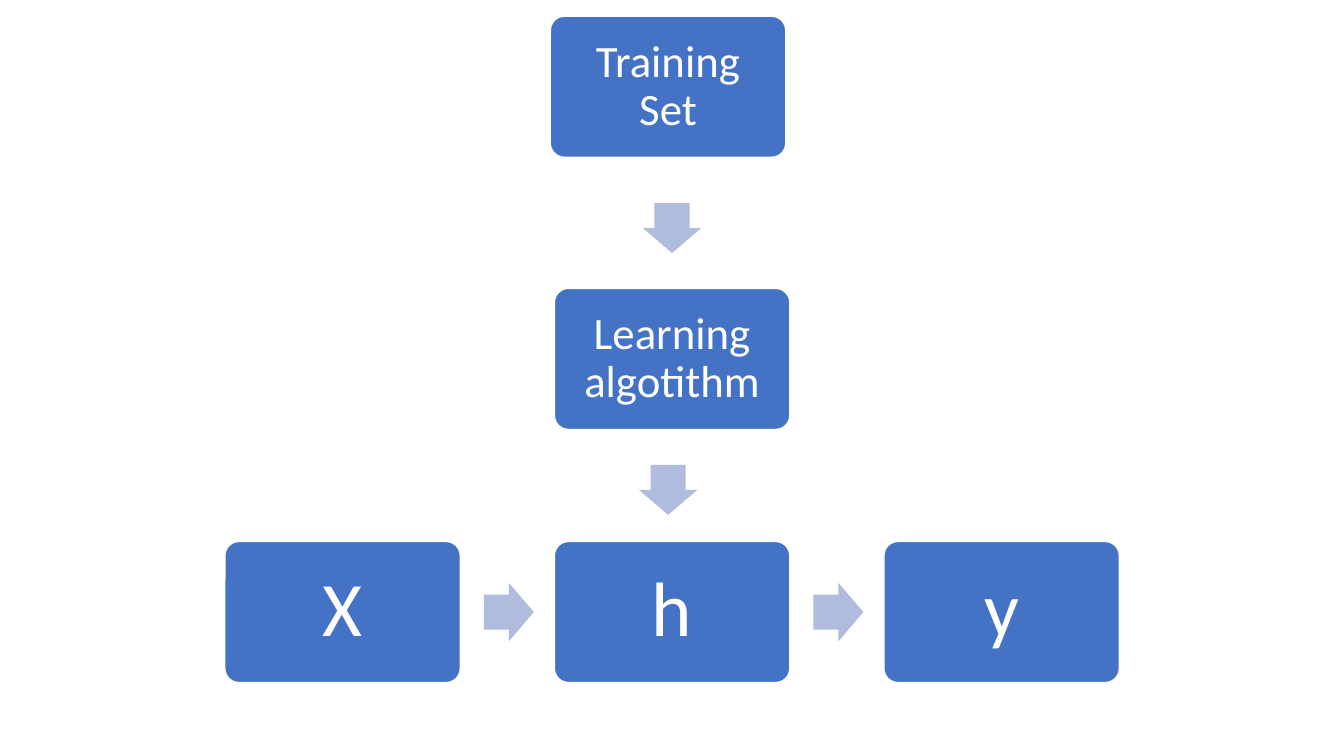
from pptx import Presentation
from pptx.dml.color import RGBColor
from pptx.enum.shapes import MSO_SHAPE as Preset
from pptx.enum.text import MSO_ANCHOR as Anchor, PP_ALIGN as Align
from pptx.util import Pt

BLUE = RGBColor(0x44, 0x72, 0xC4)
PALE_BLUE = RGBColor(0xB0, 0xBC, 0xDE)
WHITE = RGBColor(0xFF, 0xFF, 0xFF)

BOX_WIDTH, BOX_HEIGHT = 168.2, 100.8
ARROW_WIDTH, ARROW_HEIGHT = 35.7, 41.8
BOX_INSET = 16
ROW_LEFT, ROW_TOP, ROW_STEP = 160.6, 386.8, 235.4
ROW_ARROW_OFFSET = 185
ROW_ARROW_TOP = ROW_TOP + (BOX_HEIGHT - ARROW_HEIGHT) / 2


def add_preset(slide, preset, left, top, width, height, color):
    shape = slide.shapes.add_shape(preset, Pt(left), Pt(top), Pt(width), Pt(height))
    shape.shadow.inherit = False
    shape.fill.solid()
    shape.fill.fore_color.rgb = color
    return shape


def add_box(slide, label, left, top, size):
    box = add_preset(slide, Preset.ROUNDED_RECTANGLE, left, top, BOX_WIDTH, BOX_HEIGHT, BLUE)
    box.adjustments[0] = 0.1
    box.line.color.rgb = WHITE
    box.line.width = Pt(1)
    frame = box.text_frame
    frame.word_wrap = True
    frame.vertical_anchor = Anchor.MIDDLE
    frame.margin_left = frame.margin_right = Pt(BOX_INSET)
    frame.margin_top = frame.margin_bottom = Pt(BOX_INSET)
    paragraph = frame.paragraphs[0]
    paragraph.alignment = Align.CENTER
    paragraph.line_spacing = 0.9
    run = paragraph.add_run()
    run.text = label
    run.font.name = "Calibri"
    run.font.size = Pt(size)
    run.font.color.rgb = WHITE


def add_arrow(slide, left, top, rotation=0):
    arrow = add_preset(slide, Preset.RIGHT_ARROW, left, top, ARROW_WIDTH, ARROW_HEIGHT, PALE_BLUE)
    arrow.adjustments[0] = 0.6
    arrow.adjustments[1] = 0.5
    arrow.line.fill.background()
    arrow.rotation = rotation


def main():
    presentation = Presentation()
    presentation.slide_width = Pt(960)
    presentation.slide_height = Pt(540)
    slide = presentation.slides.add_slide(presentation.slide_layouts[6])

    labels = ["X", "h", "y"]
    for index, label in enumerate(labels):
        left = ROW_LEFT + index * ROW_STEP
        add_box(slide, label, left, ROW_TOP, 55)
        if index < len(labels) - 1:
            add_arrow(slide, left + ROW_ARROW_OFFSET, ROW_ARROW_TOP)

    add_arrow(slide, 462.2, 142, 90)
    add_box(slide, "Learning algotithm", ROW_LEFT + ROW_STEP, 206, 32)
    add_box(slide, "Training Set", 393.1, 11.6, 32)
    add_arrow(slide, 459.4, 329, 90)

    presentation.save("out.pptx")


if __name__ == "__main__":
    main()
